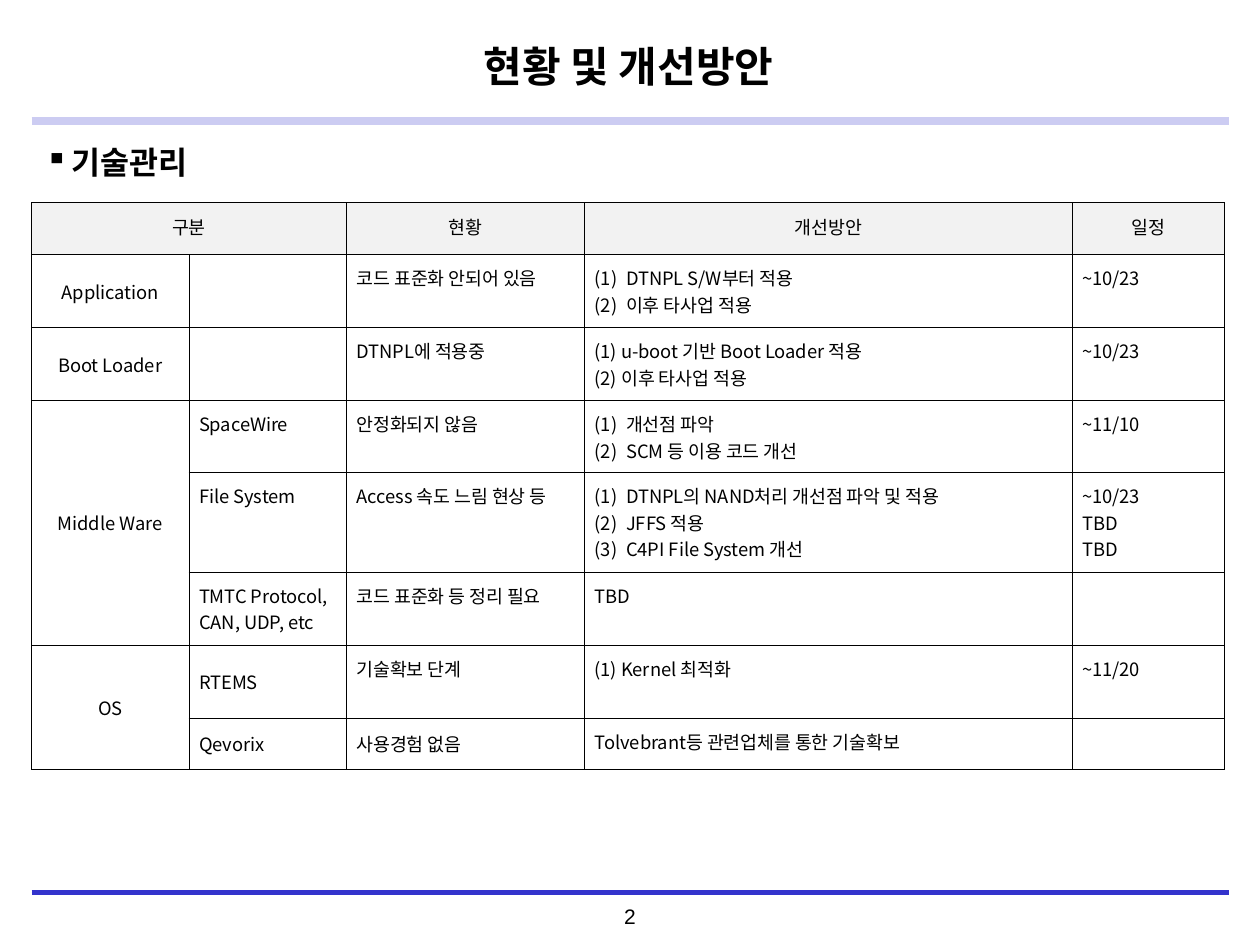
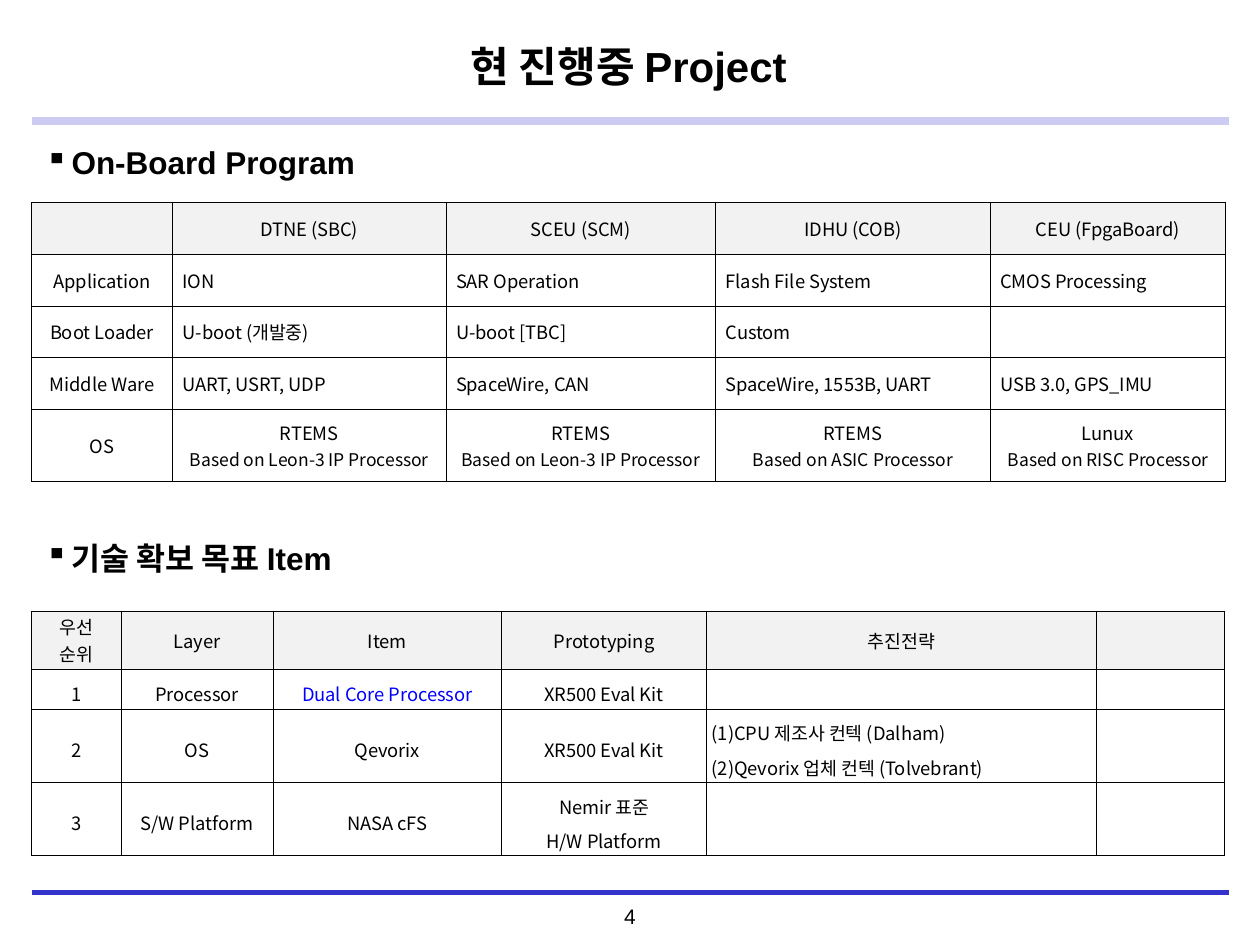
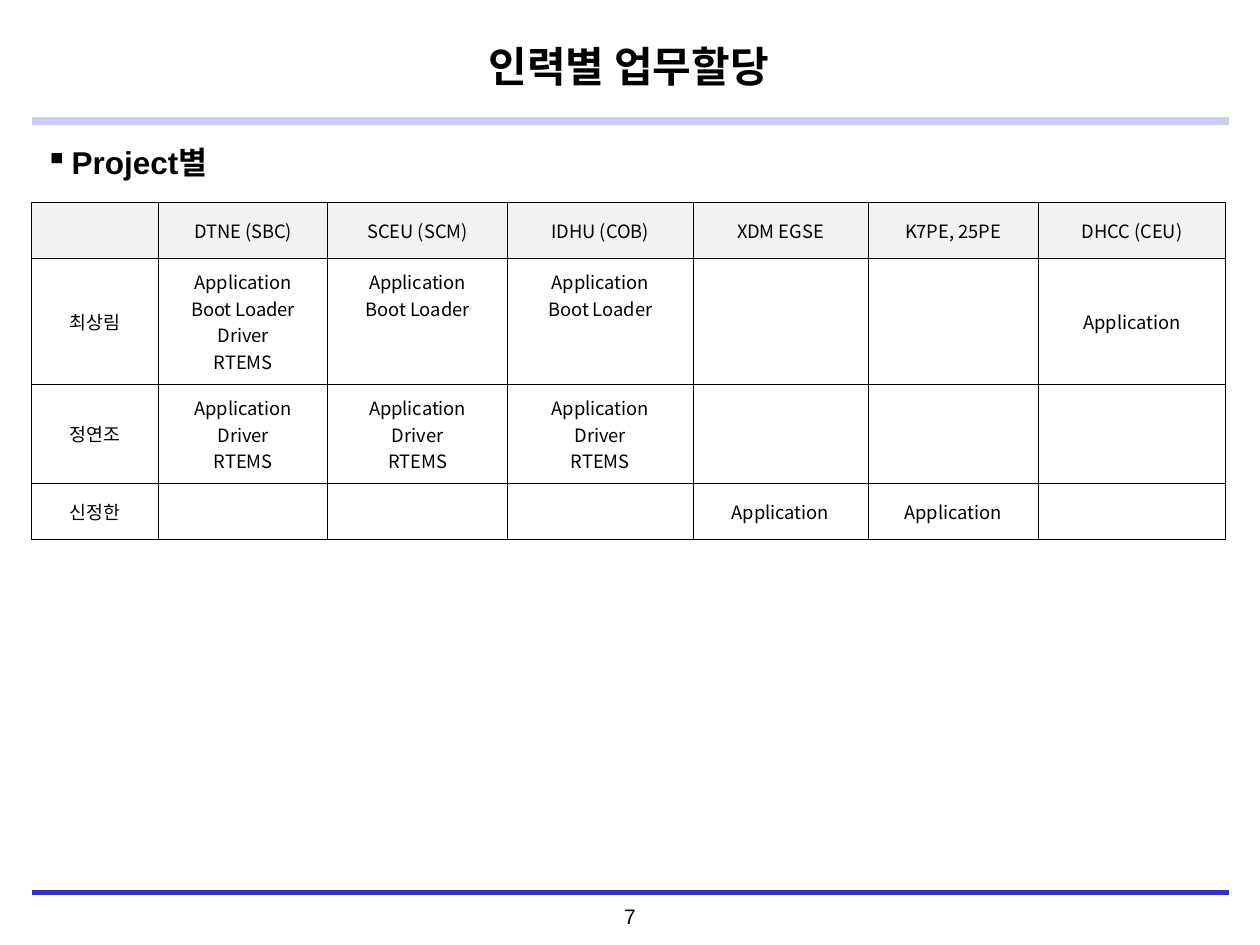
from lxml.etree import SubElement
from pptx import Presentation
from pptx.dml.color import RGBColor
from pptx.enum.shapes import MSO_CONNECTOR
from pptx.enum.text import MSO_ANCHOR as Anchor, PP_ALIGN as Align
from pptx.oxml.ns import qn
from pptx.util import Inches, Pt

BLACK = RGBColor(0x00, 0x00, 0x00)
BLUE = RGBColor(0x00, 0x00, 0xFF)
FOOTER_BLUE = RGBColor(0x33, 0x33, 0xCC)
BAND_LAVENDER = RGBColor(0xCC, 0xCC, 0xF2)
HEADER_GRAY = RGBColor(0xF2, 0xF2, 0xF2)

HEADING_FONT = "Arial"
KOREAN_FONT = "Noto Sans CJK KR"
TABLE_SIZE = 10.5
LEFT, RIGHT, WIDTH = 0.25, 9.75, 9.48
TABLE_TOP = 1.61


# Text
def add_run(paragraph, text, size, font=KOREAN_FONT, bold=False):
    run = paragraph.add_run()
    run.text = text
    run.font.size = Pt(size)
    run.font.bold = bold
    run.font.color.rgb = BLACK
    run.font.name = font
    SubElement(run.font._element, qn("a:ea"), typeface=KOREAN_FONT)


def set_bullet(paragraph, tag, margin, hanging, **attributes):
    properties = paragraph._p.get_or_add_pPr()
    properties.set("marL", str(Inches(margin)))
    properties.set("indent", str(-Inches(hanging)))
    SubElement(properties, qn(tag), **attributes)


def add_text_box(slide, left, top, width, height):
    frame = slide.shapes.add_textbox(
        Inches(left), Inches(top), Inches(width), Inches(height)).text_frame
    frame.word_wrap = True
    frame.vertical_anchor = Anchor.MIDDLE
    return frame.paragraphs[0]


def add_heading(slide, text, top=1.07):
    paragraph = add_text_box(slide, 0.26, top, WIDTH, 0.43)
    set_bullet(paragraph, "a:buChar", 0.21, 0.21, char="▪")
    add_run(paragraph, text, 18, HEADING_FONT, bold=True)


# Shared slide frame
def add_rule(slide, y, color, weight):
    rule = slide.shapes.add_connector(
        MSO_CONNECTOR.STRAIGHT, Inches(LEFT), Inches(y), Inches(RIGHT), Inches(y))
    rule.line.color.rgb = color
    rule.line.width = Pt(weight)
    SubElement(rule._element.spPr, qn("a:effectLst"))


def add_slide(presentation, title_text, page_number):
    slide = presentation.slides.add_slide(presentation.slide_layouts[5])
    title = slide.shapes.title
    title.left, title.top = Inches(LEFT), Inches(0.14)
    title.width, title.height = Inches(WIDTH), Inches(0.77)
    title.text_frame.vertical_anchor = Anchor.MIDDLE
    paragraph = title.text_frame.paragraphs[0]
    paragraph.alignment = Align.CENTER
    add_run(paragraph, title_text, 24, HEADING_FONT, bold=True)

    add_rule(slide, 0.96, BAND_LAVENDER, 4.5)
    for y in (7.08, 7.09):
        add_rule(slide, y, FOOTER_BLUE, 2)
    number = add_text_box(slide, 4.19, 7.12, 1.62, 0.3)
    number.alignment = Align.CENTER
    add_run(number, str(page_number), 12, HEADING_FONT)
    return slide


# Tables
def add_borders(cell):
    properties = cell._tc.get_or_add_tcPr()
    for index, side in enumerate(("lnL", "lnR", "lnT", "lnB")):
        border = SubElement(properties, qn(f"a:{side}"), w=str(Pt(0.5)))
        fill = SubElement(border, qn("a:solidFill"))
        SubElement(fill, qn("a:srgbClr"), val=str(BLACK))
        properties.insert(index, border)


def fill_cell(cell, content, centered, spacing, number_margin):
    """Write a string line by line, or a list as numbered items."""
    numbered = isinstance(content, list)
    lines = content if numbered else content.split("\n")
    for index, line in enumerate(lines):
        frame = cell.text_frame
        paragraph = frame.add_paragraph() if index else frame.paragraphs[0]
        paragraph.alignment = Align.CENTER if centered and not numbered else Align.LEFT
        paragraph.line_spacing = spacing
        if numbered:
            set_bullet(paragraph, "a:buAutoNum", number_margin, 0.25, type="arabicParenBoth")
        if line:
            add_run(paragraph, line, TABLE_SIZE)
        else:
            SubElement(paragraph._p, qn("a:endParaRPr"), sz=str(int(TABLE_SIZE * 100)))


def add_grid(slide, top, widths, heights, rows, centered, middle,
             insets=(0.08, 0.08), spacing=1.0, number_margin=0.25):
    """Draw a table; centered and middle tell, by row and column, how a cell is aligned."""
    table = slide.shapes.add_table(
        len(rows), len(widths), Inches(LEFT), Inches(top),
        Inches(sum(widths)), Inches(sum(heights))).table
    for column, width in zip(table.columns, widths):
        column.width = Inches(width)
    for row, height in zip(table.rows, heights):
        row.height = Inches(height)
    for r, contents in enumerate(rows):
        for c, content in enumerate(contents):
            cell = table.cell(r, c)
            cell.margin_left = cell.margin_right = Inches(insets[0])
            cell.margin_top = cell.margin_bottom = Inches(insets[1])
            cell.vertical_anchor = Anchor.MIDDLE if middle(r, c) else Anchor.TOP
            if r == 0:
                cell.fill.solid()
                cell.fill.fore_color.rgb = HEADER_GRAY
            else:
                cell.fill.background()
            add_borders(cell)
            fill_cell(cell, content, centered(r, c), spacing if r else 1.0, number_margin)
    return table


def always(row, column):
    return True


# Slides
def add_status_slide(presentation):
    slide = add_slide(presentation, "현황 및 개선방안", 2)
    add_heading(slide, "기술관리")
    rows = [
        ["구분", "", "현황", "개선방안", "일정"],
        ["Application", "", "코드 표준화 안되어 있음",
         ["DTNPL S/W부터 적용", "이후 타사업 적용"], "~10/23"],
        ["Boot Loader", "", "DTNPL에 적용중",
         "(1) u-boot 기반 Boot Loader 적용\n(2) 이후 타사업 적용", "~10/23"],
        ["Middle Ware", "SpaceWire", "안정화되지 않음",
         ["개선점 파악", "SCM 등 이용 코드 개선"], "~11/10"],
        ["", "File System", "Access 속도 느림 현상 등",
         ["DTNPL의 NAND처리 개선점 파악 및 적용", "JFFS 적용", "C4PI File System 개선"],
         "~10/23\nTBD\nTBD"],
        ["", "TMTC Protocol, CAN, UDP, etc", "코드 표준화 등 정리 필요", "TBD", ""],
        ["OS", "RTEMS", "기술확보 단계", "(1) Kernel 최적화", "~11/20"],
        ["", "Qevorix", "사용경험 없음", "Tolvebrant등 관련업체를 통한 기술확보", ""],
    ]
    middle_cells = {(6, 1), (7, 1), (7, 2)}
    table = add_grid(
        slide, TABLE_TOP, [1.25, 1.25, 1.89, 3.87, 1.21],
        [0.41, 0.58, 0.58, 0.57, 0.79, 0.58, 0.58, 0.41], rows,
        centered=lambda r, c: r == 0 or c == 0,
        middle=lambda r, c: (r > 0 and c == 0) or (r, c) in middle_cells)
    for first, last in (((0, 0), (0, 1)), ((3, 0), (5, 0)), ((6, 0), (7, 0))):
        table.cell(*first).merge(table.cell(*last))


def add_project_slide(presentation):
    slide = add_slide(presentation, "현 진행중 Project", 4)

    # Programs on board
    add_heading(slide, "On-Board Program")
    programs = [
        ["", "DTNE (SBC)", "SCEU (SCM)", "IDHU (COB)", "CEU (FpgaBoard)"],
        ["Application", "ION", "SAR Operation", "Flash File System", "CMOS Processing"],
        ["Boot Loader", "U-boot (개발중)", "U-boot [TBC]", "Custom", ""],
        ["Middle Ware", "UART, USRT, UDP", "SpaceWire, CAN", "SpaceWire, 1553B, UART",
         "USB 3.0, GPS_IMU"],
        ["OS", "RTEMS\nBased on Leon-3 IP Processor", "RTEMS\nBased on Leon-3 IP Processor",
         "RTEMS\nBased on ASIC Processor", "Lunux\nBased on RISC Processor"],
    ]
    os_row = len(programs) - 1
    table = add_grid(
        slide, TABLE_TOP, [1.12, 2.17, 2.14, 2.18, 1.87], [0.41] * 4 + [0.57], programs,
        centered=lambda r, c: r in (0, os_row) or c == 0, middle=always)
    for column in range(1, 5):
        processor_line = table.cell(os_row, column).text_frame.paragraphs[1]
        processor_line.runs[0].font.size = Pt(10)

    # Technology targets
    add_heading(slide, "기술 확보 목표 Item", 4.21)
    targets = [
        ["우선\n순위", "Layer", "Item", "Prototyping", "추진전략", ""],
        ["1", "Processor", "Dual Core Processor", "XR500 Eval Kit", "", ""],
        ["2", "OS", "Qevorix", "XR500 Eval Kit",
         ["CPU 제조사 컨텍 (Dalham)", "Qevorix 업체 컨텍 (Tolvebrant)"], ""],
        ["3", "S/W Platform", "NASA cFS", "Nemir 표준\nH/W Platform", "", ""],
    ]
    table = add_grid(
        slide, 4.85, [0.71, 1.21, 1.81, 1.63, 3.09, 1.02], [0.46, 0.32, 0.58, 0.58], targets,
        centered=always, middle=always, insets=(0.04, 0.02), spacing=1.3, number_margin=0)
    dual_core = table.cell(1, 2).text_frame.paragraphs[0].runs[0]
    dual_core.font.color.rgb = BLUE


def add_staff_slide(presentation):
    slide = add_slide(presentation, "인력별 업무할당", 7)
    add_heading(slide, "Project별")
    loader_work = "Application\nBoot Loader"
    driver_work = "Application\nDriver\nRTEMS"
    rows = [
        ["", "DTNE (SBC)", "SCEU (SCM)", "IDHU (COB)", "XDM EGSE", "K7PE, 25PE", "DHCC (CEU)"],
        ["최상림", loader_work + "\nDriver\nRTEMS", loader_work, loader_work,
         "", "", "Application"],
        ["정연조", driver_work, driver_work, driver_work, "", "", ""],
        ["신정한", "", "", "", "Application", "Application", ""],
    ]
    add_grid(
        slide, TABLE_TOP, [1.01, 1.34, 1.43, 1.47, 1.39, 1.35, 1.49],
        [0.44, 1.0, 0.79, 0.44], rows,
        centered=always, middle=lambda r, c: (r, c) not in {(1, 2), (1, 3)})


def main():
    presentation = Presentation()
    presentation.slide_width, presentation.slide_height = Inches(10), Inches(7.5)
    add_status_slide(presentation)
    add_project_slide(presentation)
    add_staff_slide(presentation)
    presentation.save("out.pptx")


if __name__ == "__main__":
    main()
